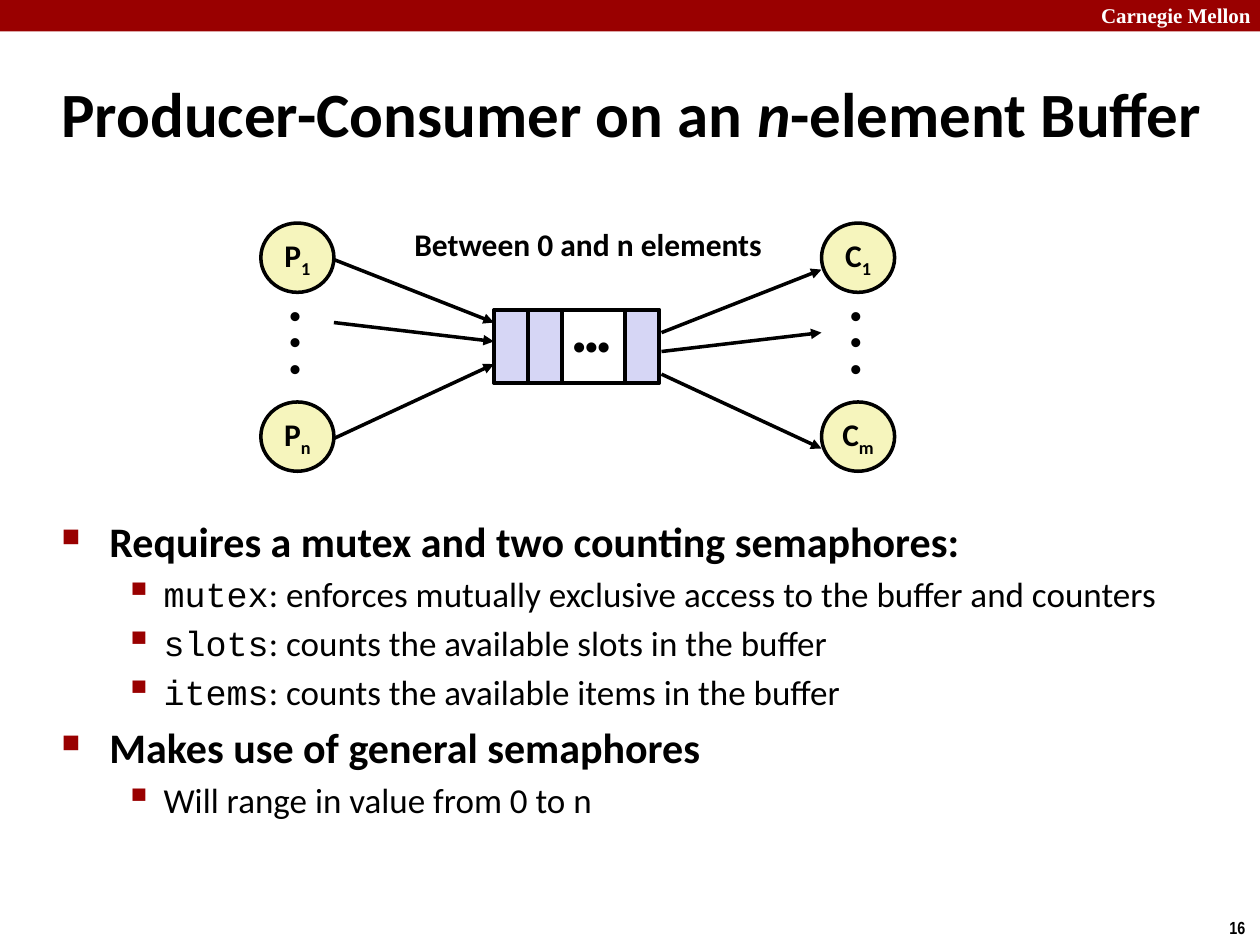
from lxml import etree
from pptx import Presentation
from pptx.dml.color import RGBColor
from pptx.enum import shapes, text
from pptx.oxml import ns
from pptx.util import Inches, Pt

RED = RGBColor(0x99, 0x00, 0x00)
BLACK = RGBColor(0x00, 0x00, 0x00)
WHITE = RGBColor(0xFF, 0xFF, 0xFF)
YELLOW = RGBColor(0xF6, 0xF5, 0xBD)
LAVENDER = RGBColor(0xD6, 0xD6, 0xF5)

BULLETS = [
    {"marL": 0.38, "indent": -0.38, "char": "■", "percent": 60, "size": 24, "bold": True},
    {"marL": 0.81, "indent": -0.31, "char": "▪", "percent": 110, "size": 20, "bold": False},
]
POINTS = [
    (0, "", "Requires a mutex and two counting semaphores:"),
    (1, "mutex", ": enforces mutually exclusive access to the buffer and counters"),
    (1, "slots", ": counts the available slots in the buffer"),
    (1, "items", ": counts the available items in the buffer"),
    (0, "", "Makes use of general semaphores"),
    (1, "", "Will range in value from 0 to n"),
]


def set_all(target, values):
    for name, value in values.items():
        setattr(target, name, value)


def add_run(paragraph, words, size, color=BLACK, **formats):
    run = paragraph.add_run()
    run.text = words
    set_all(run.font, {"name": "Calibri", "size": Pt(size), "bold": True, **formats})
    run.font.color.rgb = color
    return run


def set_indent(paragraph, left, first):
    properties = paragraph._p.get_or_add_pPr()
    properties.set("marL", str(Inches(left)))
    properties.set("indent", str(Inches(first)))
    return properties


def add_frame(slide, box, **formats):
    frame = slide.shapes.add_textbox(*map(Inches, box)).text_frame
    set_all(frame, {"word_wrap": True, **formats})
    return frame


def add_outlined(slide, kind, box, fill=None):
    shape = slide.shapes.add_shape(kind, *map(Inches, box))
    shape.shadow.inherit = False
    if fill is None:
        shape.fill.background()
    else:
        shape.fill.solid()
        shape.fill.fore_color.rgb = fill
    shape.line.color.rgb = BLACK
    shape.line.width = Pt(2)
    return shape


def add_arrow(slide, start, end):
    arrow = slide.shapes.add_connector(
        shapes.MSO_CONNECTOR.STRAIGHT, *map(Inches, (*start, *end)))
    arrow.line.color.rgb = BLACK
    arrow.line.width = Pt(2)
    etree.SubElement(arrow.line._get_or_add_ln(), ns.qn("a:tailEnd"), type="triangle")
    etree.SubElement(arrow._element.spPr, ns.qn("a:effectLst"))


def add_banner(slide, left, top, width, height):
    band = add_outlined(slide, shapes.MSO_SHAPE.RECTANGLE, (left, top, width, height), RED)
    band.line.fill.background()
    school = add_frame(slide, (left + width - 1.36, top - 0.03, 1.43, 0.3))
    add_run(school.paragraphs[0], "Carnegie Mellon", 12, WHITE, name="Times New Roman")


def add_page_number(slide, *box):
    number = add_frame(slide, box, word_wrap=False)
    add_run(number.paragraphs[0], "16", 10, name="Arial Narrow")


def add_title(slide, *box):
    frame = add_frame(slide, box, vertical_anchor=text.MSO_ANCHOR.MIDDLE)
    title = frame.paragraphs[0]
    set_indent(title, 0.13, -0.13)
    for words, italic in (("Producer-Consumer on an ", False), ("n", True),
                          ("-element Buffer", False)):
        add_run(title, words, 36, italic=italic)


def add_threads(slide, left, top, letter, last):
    for offset, index in ((0, "1"), (1.42, last)):
        thread = add_outlined(slide, shapes.MSO_SHAPE.OVAL,
                              (left, top + offset, 0.58, 0.55), YELLOW)
        frame = thread.text_frame
        set_all(frame, {"word_wrap": False, "margin_top": 0, "margin_bottom": 0,
                        "vertical_anchor": text.MSO_ANCHOR.MIDDLE})
        label = frame.paragraphs[0]
        label.alignment = text.PP_ALIGN.CENTER
        add_run(label, letter, 18)
        add_run(label, index, 18).font._element.set("baseline", "-25000")
    dots = add_frame(slide, (left + 0.13, top + 0.61, 0.32, 0.75), word_wrap=False)
    for row in range(3):
        dot = dots.paragraphs[0] if row == 0 else dots.add_paragraph()
        dot.line_spacing = 0.7
        add_run(dot, "•", 18, name="Arial")


def add_buffer(slide, left, top, width, height):
    cell = 0.27
    for x in (left, left + cell, left + width - cell):
        add_outlined(slide, shapes.MSO_SHAPE.RECTANGLE, (x, top, cell, height), LAVENDER)
    gap = add_frame(slide, (left + cell, top + 0.16, 1.01, 0.35)).paragraphs[0]
    set_all(gap, {"alignment": text.PP_ALIGN.CENTER, "line_spacing": 0.7})
    add_run(gap, "•••", 20, name="Arial")
    add_outlined(slide, shapes.MSO_SHAPE.RECTANGLE, (left, top, width, height))


def add_diagram(slide, left, top, width):
    right = left + width
    buffer_left, buffer_right = left + 1.85, left + 3.18
    add_threads(slide, left, top, "P", "n")
    add_threads(slide, right - 0.58, top, "C", "m")
    for outer, inner in ((0.29, 0.79), (0.79, 0.94), (1.71, 1.12)):
        add_arrow(slide, (left + 0.58, top + outer), (buffer_left, top + inner))
        add_arrow(slide, (buffer_right, top + inner + 0.08),
                  (right - 0.58, top + outer + 0.08))
    add_buffer(slide, buffer_left, top + 0.69, 1.31, 0.58)
    caption = add_frame(slide, (left + 1.12, top - 0.03, 3, 0.4), word_wrap=False)
    add_run(caption.paragraphs[0], "Between 0 and n elements", 18)


def add_points(slide, *box):
    frame = add_frame(slide, box)
    for order, (level, code, words) in enumerate(POINTS):
        style = BULLETS[level]
        point = frame.paragraphs[0] if order == 0 else frame.add_paragraph()
        point.level = level
        properties = set_indent(point, style["marL"], style["indent"])
        color = etree.SubElement(properties, ns.qn("a:buClr"))
        etree.SubElement(color, ns.qn("a:srgbClr"), val=str(RED))
        etree.SubElement(properties, ns.qn("a:buSzPct"), val=str(style["percent"] * 1000))
        etree.SubElement(properties, ns.qn("a:buChar"), char=style["char"])
        if order:
            point.space_before = Pt(style["size"] * 0.2)
        if code:
            add_run(point, code, style["size"], name="Courier New", bold=False)
        add_run(point, words, style["size"], bold=style["bold"])


def main():
    deck = Presentation()
    deck.slide_width, deck.slide_height = Inches(10), Inches(7.5)
    slide = deck.slides.add_slide(deck.slide_layouts[6])
    add_banner(slide, 0, 0, 10, 0.25)
    add_page_number(slide, 9.66, 7.23, 0.34, 0.27)
    add_title(slide, 0.39, 0.48, 9.36, 0.83)
    add_points(slide, 0.39, 4.04, 8.98, 1.93)
    add_diagram(slide, 2.07, 1.77, 5.03)
    deck.save("out.pptx")


if __name__ == "__main__":
    main()
